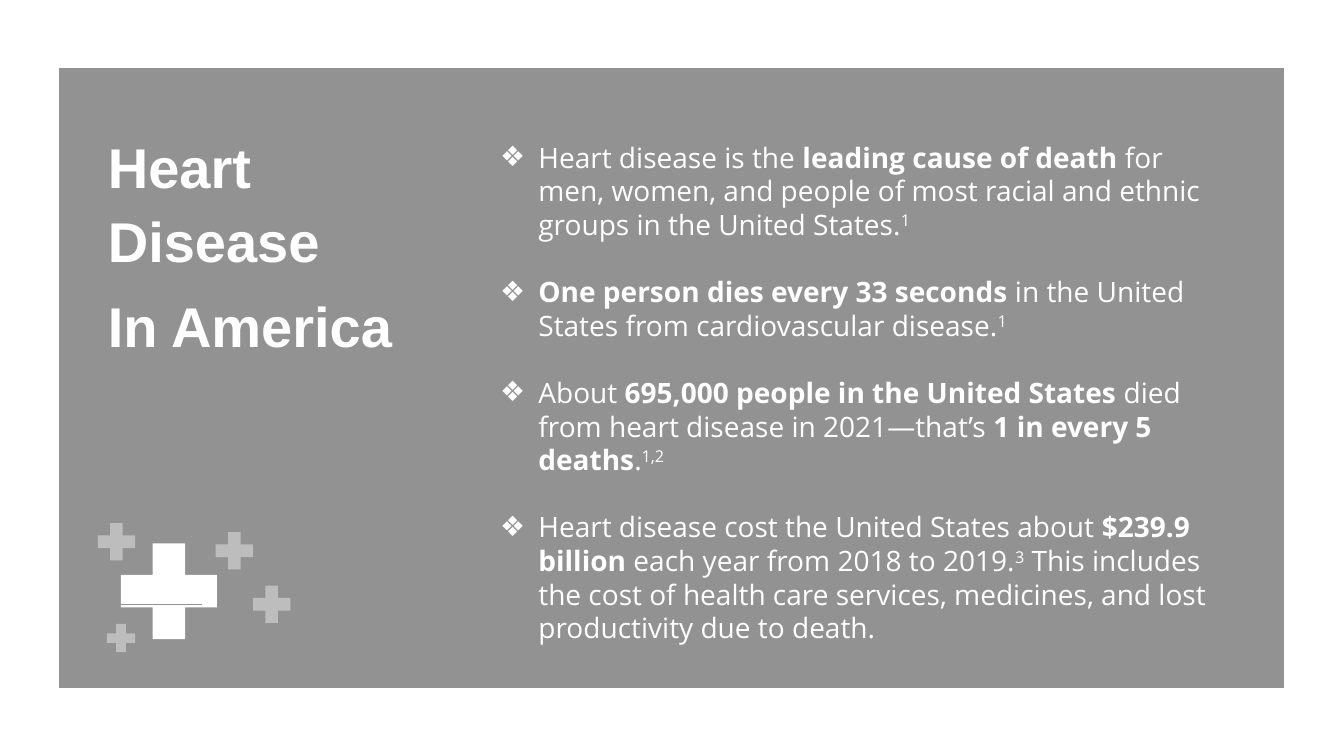
from lxml import etree
from pptx import Presentation
from pptx.dml.color import RGBColor
from pptx.enum import shapes, text
from pptx.oxml import ns
from pptx.util import Inches, Pt

WHITE, DARK, PULSE_GREY = "FFFFFF", "262626", "929292"

# Each fact is a list of (text, style) runs
FACTS = [
    [("Heart disease is the ", ""), ("leading cause of death", "bold"),
     (" for men, women, and people of most racial and ethnic groups in the United States.", ""),
     ("1", "super")],
    [("One person dies every 33 seconds", "bold"),
     (" in the United States from cardiovascular disease.", ""), ("1", "super")],
    [("About ", ""), ("695,000 people in the United States ", "bold"),
     ("died from heart disease in 2021—that’s ", ""), ("1 in every 5 deaths", "bold"),
     (".", ""), ("1,2", "super")],
    [("Heart disease cost the United States about ", ""), ("$239.9 billion", "bold"),
     (" each year from 2018 to 2019.", ""), ("3", "super"),
     (" This includes the cost of health care services, medicines, and lost "
      "productivity due to death.", "")],
]

# Left, top and size of the pale crosses
PALE_CROSSES = [(1.06, 6.19, 0.28), (2.14, 5.28, 0.37), (2.51, 5.81, 0.37), (0.97, 5.19, 0.37)]

# One heartbeat, as offsets from its start on the baseline
BEAT = [(0, 0), (0.01, -0.04), (0.04, 0.13), (0.08, -0.14), (0.1, 0.02), (0.12, 0)]
BEAT_STARTS = [1.29, 1.58, 1.92]
PULSE_Y = 5.87


def rgb(color):
    return RGBColor.from_string(color)


def fill_shape(shape, color, opacity=100):
    shape.shadow.inherit = False
    shape.fill.solid()
    shape.fill.fore_color.rgb = rgb(color)
    if opacity < 100:
        color_xml = shape._element.spPr.find(ns.qn("a:solidFill"))[0]
        etree.SubElement(color_xml, ns.qn("a:alpha"), val=str(opacity * 1000))


def place(holder, left, top, width, height, anchor):
    holder.left, holder.top = Inches(left), Inches(top)
    holder.width, holder.height = Inches(width), Inches(height)
    frame = holder.text_frame
    frame.word_wrap = True
    frame.auto_size = text.MSO_AUTO_SIZE.NONE
    frame.vertical_anchor = anchor
    return frame


def add_paragraph(frame, index, space_before):
    paragraph = frame.add_paragraph() if index else frame.paragraphs[0]
    paragraph.alignment = text.PP_ALIGN.LEFT
    paragraph.space_before = Pt(space_before if index else 0)
    return paragraph


def add_run(paragraph, words, font, size, style=""):
    run = paragraph.add_run()
    run.text = words
    run.font.name, run.font.size = font, Pt(size)
    run.font.bold = style == "bold"
    run.font.color.rgb = rgb(WHITE)
    if style == "super":
        run._r.get_or_add_rPr().set("baseline", "30000")


def add_bullet(paragraph, char):
    props = paragraph._p.get_or_add_pPr()
    props.set("marL", str(Inches(0.38)))
    props.set("indent", str(Inches(-0.38)))
    etree.SubElement(props, ns.qn("a:buFont"), typeface="Arial")
    etree.SubElement(props, ns.qn("a:buChar"), char=char)


def add_panel(slide):
    panel = slide.shapes.add_shape(shapes.MSO_SHAPE.RECTANGLE, Inches(0.56), Inches(0.65),
                                   Inches(12.2), Inches(6.2))
    fill_shape(panel, DARK, 50)
    panel.line.color.rgb = rgb(WHITE)
    panel.line.width = Pt(3)
    slide.shapes._spTree.insert(2, panel._element)  # behind the text


def add_cross(slide, left, top, size, opacity=100):
    cross = slide.shapes.add_shape(shapes.MSO_SHAPE.CROSS, Inches(left), Inches(top),
                                   Inches(size), Inches(size))
    cross.adjustments[0] = 0.33
    fill_shape(cross, WHITE, opacity)
    cross.line.fill.background()


def add_pulse(slide, left, right):
    points = [(start + dx, PULSE_Y + dy) for start in BEAT_STARTS for dx, dy in BEAT]
    builder = slide.shapes.build_freeform(left, PULSE_Y, scale=Inches(1))
    builder.add_line_segments(points + [(right, PULSE_Y)], close=False)
    pulse = builder.convert_to_shape()
    pulse.shadow.inherit = False
    pulse.fill.background()
    pulse.line.color.rgb = rgb(PULSE_GREY)
    pulse.line.width = Pt(0.75)


def main():
    deck = Presentation()
    deck.slide_width, deck.slide_height = Inches(13.33), Inches(7.5)
    slide = deck.slides.add_slide(deck.slide_layouts[1])
    add_panel(slide)

    # Title
    heading = place(slide.shapes.title, 0.97, 1.2, 3.66, 2.4, text.MSO_ANCHOR.MIDDLE)
    for index, words in enumerate(["Heart Disease", "In America"]):
        paragraph = add_paragraph(heading, index, 8)
        paragraph.line_spacing = 1.1
        add_run(paragraph, words, "Arial", 40, "bold")

    # Facts
    facts = place(slide.placeholders[1], 4.86, 1.34, 7.28, 4.81, text.MSO_ANCHOR.TOP)
    for index, fact in enumerate(FACTS):
        paragraph = add_paragraph(facts, index, 24)
        add_bullet(paragraph, "❖")
        for words, style in fact:
            add_run(paragraph, words, "Open Sans", 20, style)

    # Crosses and heartbeat
    add_cross(slide, 1.2, 5.39, 0.95)
    add_pulse(slide, 1.2, 2.14)
    for left, top, size in PALE_CROSSES:
        add_cross(slide, left, top, size, 40)

    deck.save("out.pptx")


if __name__ == "__main__":
    main()
